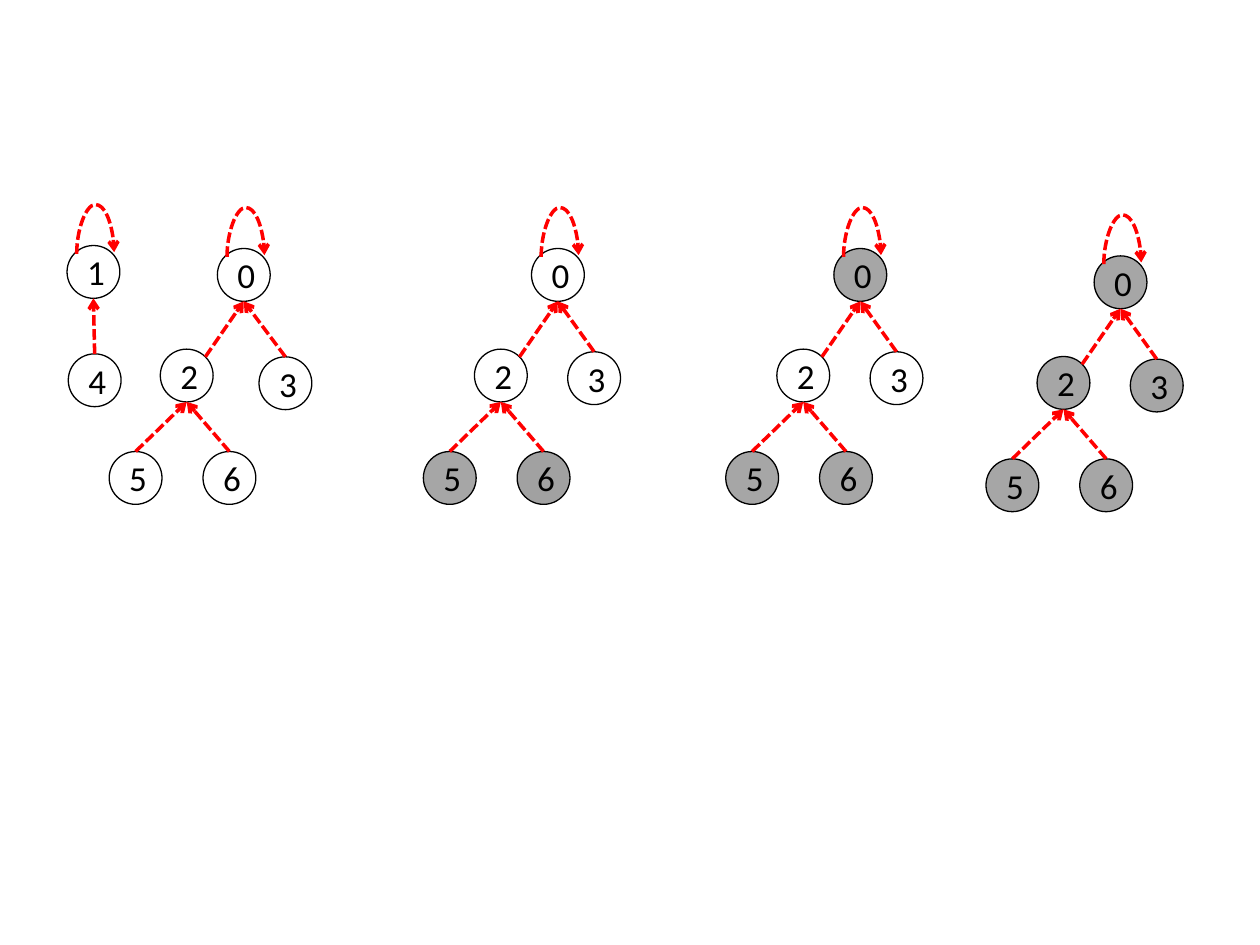
"""Build a slide of union-find trees with parent arrows and shaded nodes."""
from math import sqrt

from lxml.etree import SubElement
from pptx import Presentation
from pptx.dml.color import RGBColor
from pptx.enum.dml import MSO_LINE
from pptx.enum.shapes import MSO_CONNECTOR, MSO_SHAPE
from pptx.enum.text import MSO_ANCHOR, PP_ALIGN
from pptx.oxml.ns import qn
from pptx.util import Pt

BLACK = RGBColor(0, 0, 0)
RED = RGBColor(255, 0, 0)
DIAMETER = 30.2
RADIUS = DIAMETER / 2
DIAGONAL = RADIUS / sqrt(2)
LOOP_WIDTH = 21.4
LOOP_RISE = 28453

FULL_TREE = {
    "0": (None, 0, 0),
    "2": ("0", -32.6, 57.5),
    "3": ("0", 20.7, 59),
    "5": ("2", -61.8, 116),
    "6": ("2", -8.2, 116),
}
TREES = [
    (38.3, 140.3, {"1": (None, 0, 0), "4": ("1", 0.7, 61.9)}, {}),
    (124.2, 142, FULL_TREE | {"3": ("0", 23.8, 61.9)}, {}),
    (303.7, 142, FULL_TREE, {"5": 35, "6": 37}),
    (476.5, 142, FULL_TREE, dict.fromkeys("056", 35)),
    (625.2, 146.2, FULL_TREE, dict.fromkeys("02356", 35)),
]


def add_node(left, top, label, opacity):
    node = slide.shapes.add_shape(
        MSO_SHAPE.OVAL, Pt(left), Pt(top), Pt(DIAMETER), Pt(DIAMETER))
    node.shadow.inherit = False
    node.line.color.rgb = BLACK
    node.line.width = Pt(0.75)
    if opacity:
        node.fill.solid()
        node.fill.fore_color.rgb = BLACK
        color = node.fill._xPr.find(qn("a:solidFill"))[0]
        SubElement(color, qn("a:alpha"), val=str(opacity * 1000))
    else:
        node.fill.background()
    node.text_frame.vertical_anchor = MSO_ANCHOR.MIDDLE
    paragraph = node.text_frame.paragraphs[0]
    paragraph.alignment = PP_ALIGN.RIGHT
    run = paragraph.add_run()
    run.text = label
    for name, value in {"name": "Calibri", "size": Pt(20)}.items():
        setattr(run.font, name, value)
    run.font.color.rgb = BLACK


def add_arrow(style, *ends):
    arrow = slide.shapes.add_connector(style, *(Pt(end) for end in ends))
    arrow.line.color.rgb = RED
    for name, value in {"width": Pt(2), "dash_style": MSO_LINE.SQUARE_DOT}.items():
        setattr(arrow.line, name, value)
    SubElement(arrow.line._get_or_add_ln(), qn("a:tailEnd"), type="arrow")
    SubElement(arrow._element.spPr, qn("a:effectLst"))
    return arrow


presentation = Presentation()
presentation.slide_width = Pt(720)
presentation.slide_height = Pt(540)
slide = presentation.slides.add_slide(presentation.slide_layouts[6])

for tree_left, tree_top, nodes, shading in TREES:
    for label, (parent, dx, dy) in nodes.items():
        add_node(tree_left + dx, tree_top + dy, label, shading.get(label))

    for label, (parent, dx, dy) in nodes.items():
        center_x = tree_left + dx + RADIUS
        top = tree_top + dy
        if parent is None:
            loop_x, loop_y = center_x + 1.1, top + 4.3
            loop = add_arrow(
                MSO_CONNECTOR.CURVE,
                loop_x + 0.5, loop_y + LOOP_WIDTH / 2,
                loop_x - 0.5, loop_y - LOOP_WIDTH / 2)
            properties = loop._element.spPr
            properties.find(qn("a:xfrm")).set("rot", str(90 * 60000))
            guides = properties.find(qn("a:prstGeom")).find(qn("a:avLst"))
            SubElement(guides, qn("a:gd"), name="adj1", fmla=f"val {LOOP_RISE * 100}")
            continue
        start_x, start_y = center_x, top
        if label == "2":
            start_x += DIAGONAL
            start_y += RADIUS - DIAGONAL
        _, parent_dx, parent_dy = nodes[parent]
        add_arrow(
            MSO_CONNECTOR.STRAIGHT, start_x, start_y,
            tree_left + parent_dx + RADIUS, tree_top + parent_dy + DIAMETER)

presentation.save("out.pptx")
